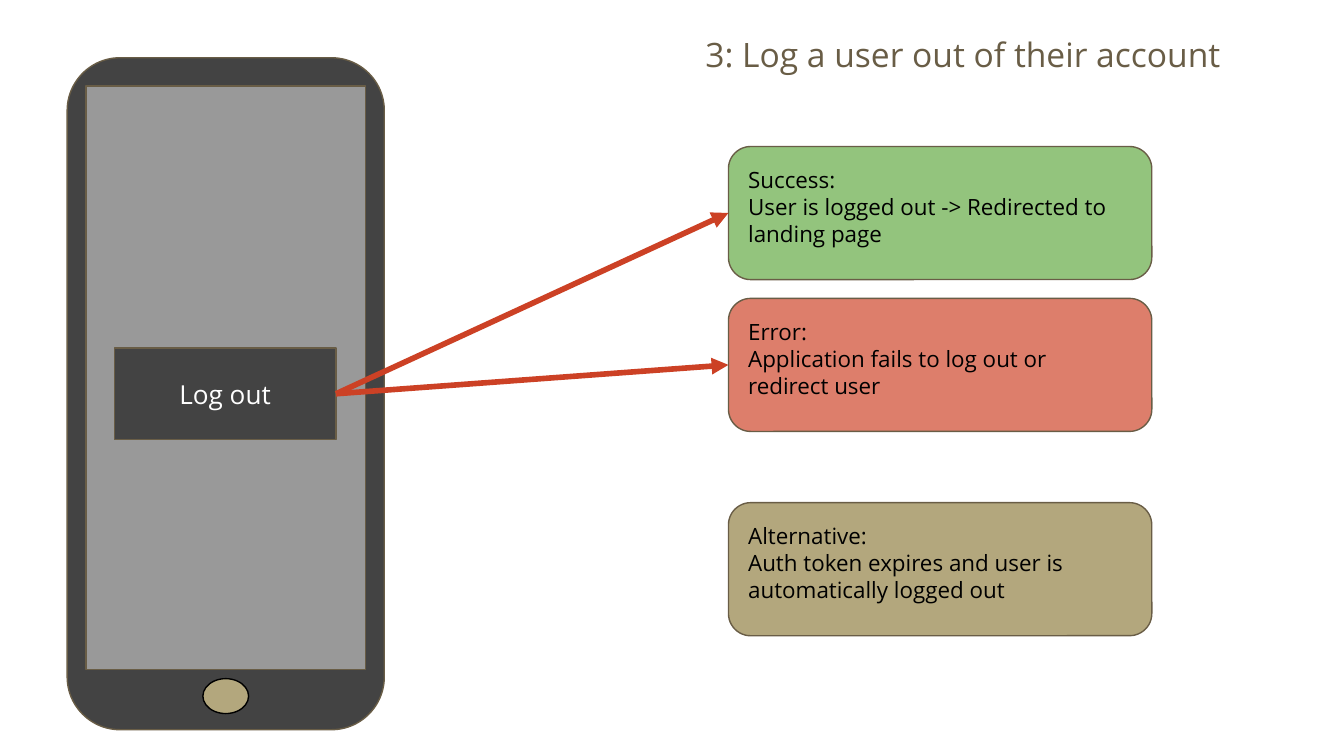
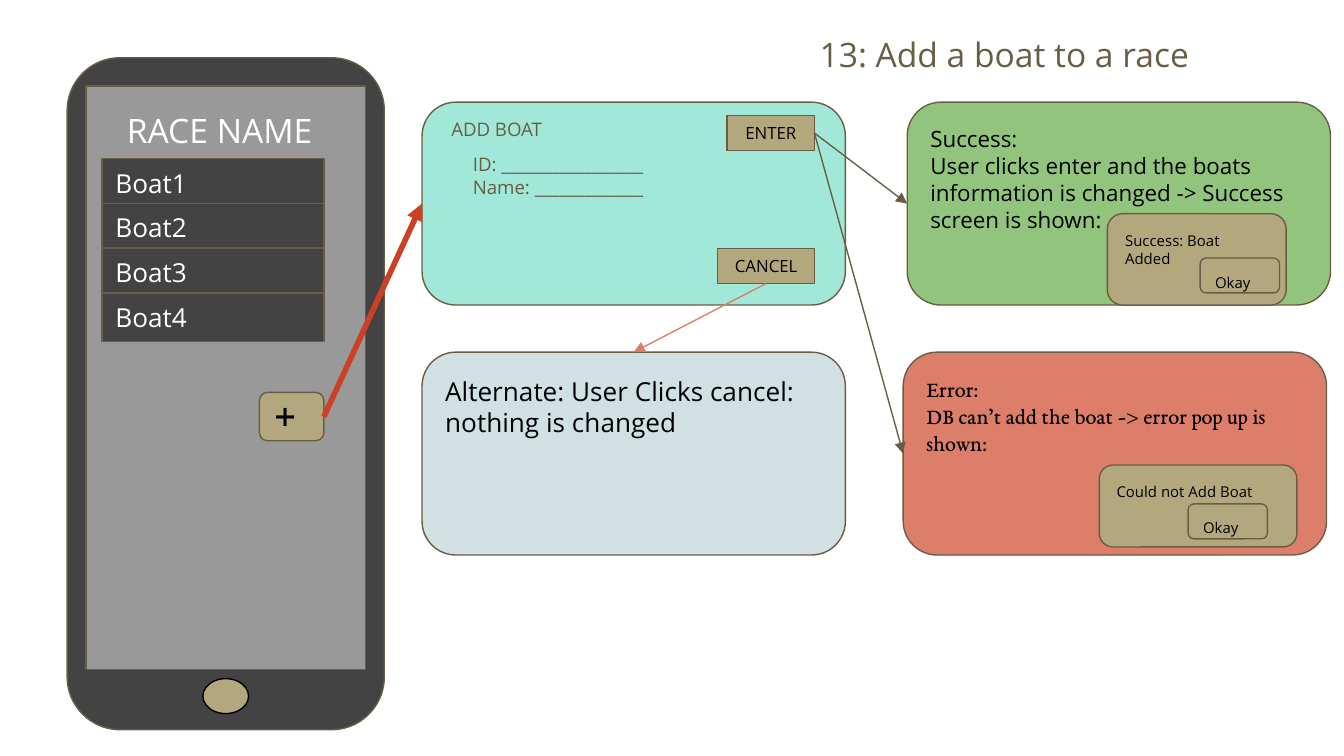
from dataclasses import dataclass

import lxml.etree
import pptx
import pptx.dml.color
import pptx.enum.shapes
import pptx.enum.text
import pptx.oxml.ns
import pptx.util

Inches = pptx.util.Inches
Pt = pptx.util.Pt
Preset = pptx.enum.shapes.MSO_SHAPE
Anchor = pptx.enum.text.MSO_ANCHOR
Align = pptx.enum.text.PP_ALIGN

# Shared palette and fonts
BROWN, TAN, DARK, GREY = "695D46", "B3A77D", "434343", "999999"
GREEN, CORAL, RED = "93C47D", "DD7E6B", "CC4125"
MINT, PALE_BLUE = "A1E8D9", "D0E0E3"
BLACK, WHITE = "000000", "FFFFFF"
SANS, SERIF = "Open Sans", "EB Garamond"

# Connection sites of a rectangle
TOP, LEFT, BOTTOM, RIGHT = range(4)


@dataclass
class Label:
    lines: tuple[str, ...]
    size: float = 12
    color: str = BLACK
    font: str = SANS
    centered: bool = False
    middle: bool = False


@dataclass
class Box:
    left: float
    top: float
    width: float
    height: float
    fill: str
    label: Label | None = None
    preset: Preset = Preset.ROUNDED_RECTANGLE
    outline: str = BROWN


@dataclass
class Arrow:
    start: pptx.shapes.autoshape.Shape
    start_site: int
    end: pptx.shapes.autoshape.Shape
    end_site: int
    color: str = BROWN
    weight: float = 0.75


def rgb(color: str) -> pptx.dml.color.RGBColor:
    return pptx.dml.color.RGBColor.from_string(color)


def write(frame: pptx.text.text.TextFrame, label: Label) -> None:
    frame.word_wrap = True
    frame.margin_left = frame.margin_right = Inches(0.1)
    frame.margin_top = frame.margin_bottom = Inches(0.1)
    frame.vertical_anchor = Anchor.MIDDLE if label.middle else Anchor.TOP
    for index, line in enumerate(label.lines):
        paragraph = frame.add_paragraph() if index else frame.paragraphs[0]
        paragraph.alignment = Align.CENTER if label.centered else Align.LEFT
        run = paragraph.add_run()
        run.text = line
        run.font.name = label.font
        run.font.size = Pt(label.size)
        run.font.color.rgb = rgb(label.color)


def draw_box(slide: pptx.slide.Slide, box: Box) -> pptx.shapes.autoshape.Shape:
    shape = slide.shapes.add_shape(box.preset, Inches(box.left), Inches(box.top),
                                   Inches(box.width), Inches(box.height))
    shape.shadow.inherit = False
    shape.fill.solid()
    shape.fill.fore_color.rgb = rgb(box.fill)
    shape.line.color.rgb = rgb(box.outline)
    shape.line.width = Pt(0.75)
    if box.label:
        write(shape.text_frame, box.label)
    return shape


def draw_text(slide: pptx.slide.Slide, left: float, top: float,
              width: float, height: float, label: Label) -> None:
    area = slide.shapes.add_textbox(Inches(left), Inches(top), Inches(width), Inches(height))
    write(area.text_frame, label)


def draw_arrow(slide: pptx.slide.Slide, arrow: Arrow) -> None:
    line = slide.shapes.add_connector(pptx.enum.shapes.MSO_CONNECTOR.STRAIGHT, 0, 0, 0, 0)
    line.begin_connect(arrow.start, arrow.start_site)
    line.end_connect(arrow.end, arrow.end_site)
    line.line.color.rgb = rgb(arrow.color)
    line.line.width = Pt(arrow.weight)
    qn = pptx.oxml.ns.qn
    lxml.etree.SubElement(line.line._get_or_add_ln(), qn("a:tailEnd"), type="triangle")
    lxml.etree.SubElement(line._element.spPr, qn("a:effectLst"))


def add_phone_slide(deck: pptx.presentation.Presentation, title: str,
                    title_left: float, title_width: float) -> pptx.slide.Slide:
    """Add a slide with its title and the empty phone."""
    slide = deck.slides.add_slide(deck.slide_layouts[6])
    for part in (
        Box(0.5, 0.43, 2.36, 5, DARK, preset=Preset.FLOWCHART_ALTERNATE_PROCESS),
        Box(0.64, 0.64, 2.08, 4.34, GREY, preset=Preset.RECTANGLE),
        Box(1.51, 5.05, 0.34, 0.26, TAN, preset=Preset.OVAL, outline=BLACK),
    ):
        draw_box(slide, part)
    draw_text(slide, title_left, 0.15, title_width, 0.55, Label((title,), 18, BROWN))
    return slide


def build_log_out(deck: pptx.presentation.Presentation) -> None:
    slide = add_phone_slide(deck, "3: Log a user out of their account", 5.15, 4.48)
    log_out = draw_box(slide, Box(
        0.85, 2.59, 1.65, 0.68, DARK,
        Label(("Log out",), 14, WHITE, centered=True, middle=True), Preset.RECTANGLE))

    # Outcomes, of which the first two follow from the button
    outcomes = [
        draw_box(slide, Box(5.42, top, 3.15, 0.99, fill, Label(lines)))
        for top, fill, lines in (
            (1.09, GREEN, ("Success:", "User is logged out -> Redirected to landing page")),
            (2.22, CORAL, ("Error:", "Application fails to log out or redirect user")),
            (3.74, TAN, ("Alternative:",
                         "Auth token expires and user is automatically logged out")),
        )
    ]
    for outcome in outcomes[:2]:
        draw_arrow(slide, Arrow(log_out, RIGHT, outcome, LEFT, RED, 3))


def build_add_boat(deck: pptx.presentation.Presentation) -> None:
    slide = add_phone_slide(deck, "13: Add a boat to a race", 6, 3.12)

    # Race screen on the phone
    for row in range(4):
        draw_box(slide, Box(0.76, 1.18 + row / 3, 1.65, 0.36, DARK,
                            Label((f"Boat{row + 1}",), 14, WHITE, middle=True),
                            Preset.RECTANGLE))
    draw_text(slide, 0.72, 0.72, 1.83, 0.55, Label(("RACE NAME",), 18, WHITE, centered=True))
    plus = draw_box(slide, Box(1.93, 2.92, 0.48, 0.36, TAN, Label(("➕",), 14, middle=True)))

    # Form and outcome panels
    form, alternate, error, success = (
        draw_box(slide, Box(left, top, 3.15, 1.51, fill, label))
        for left, top, fill, label in (
            (3.14, 0.76, MINT, None),
            (3.14, 2.62, PALE_BLUE,
             Label(("Alternate: User Clicks cancel: nothing is changed",), 14)),
            (6.72, 2.62, CORAL,
             Label(("Error:", "DB can’t add the boat -> error pop up is shown:"), font=SERIF)),
            (6.75, 0.76, GREEN,
             Label(("Success:", "User clicks enter and the boats information is changed"
                    " -> Success screen is shown:"))),
        )
    )

    # Form fields and buttons
    draw_text(slide, 3.26, 0.79, 1.16, 0.26, Label(("ADD BOAT",), 10, BROWN))
    draw_text(slide, 3.42, 1.04, 2.32, 0.71,
              Label(("ID: _________________", "Name: _____________"), 10, BROWN))
    enter, cancel = (
        draw_box(slide, Box(left, top, 6.06 - left, 0.26, TAN,
                            Label((caption,), 9, centered=True, middle=True),
                            Preset.RECTANGLE))
        for left, top, caption in ((5.41, 0.86, "ENTER"), (5.34, 1.85, "CANCEL"))
    )

    # Pop-ups with their buttons
    for left, top, width, height, message, okay_left, okay_top in (
        (8.24, 1.59, 1.33, 0.68, "Success: Boat Added", 8.93, 1.92),
        (8.18, 3.46, 1.47, 0.61, "Could not Add Boat", 8.84, 3.75),
    ):
        draw_box(slide, Box(left, top, width, height, TAN, Label((message,), 8)))
        draw_box(slide, Box(okay_left, okay_top, 0.59, 0.26, TAN, Label(("Okay",), 8)))

    # Flow between the parts
    for arrow in (
        Arrow(plus, RIGHT, form, LEFT, RED, 3),
        Arrow(cancel, BOTTOM, alternate, TOP, CORAL),
        Arrow(enter, RIGHT, success, LEFT),
        Arrow(enter, RIGHT, error, LEFT),
    ):
        draw_arrow(slide, arrow)


def main() -> None:
    deck = pptx.Presentation()
    # Widescreen, 16 to 9
    deck.slide_width = Inches(10)
    deck.slide_height = Inches(10) * 9 // 16
    build_log_out(deck)
    build_add_boat(deck)
    deck.save("out.pptx")


if __name__ == "__main__":
    main()
